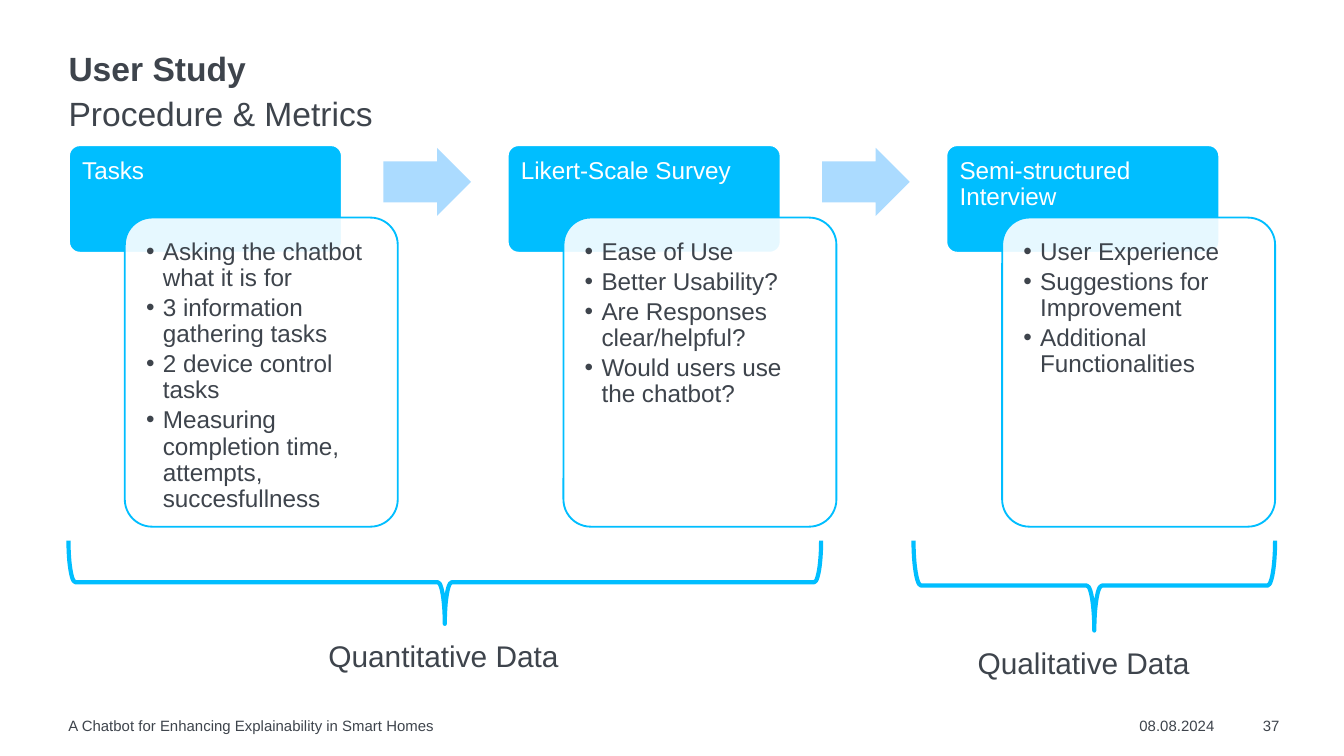
from lxml.etree import SubElement
from pptx import Presentation
from pptx.dml.color import RGBColor
from pptx.enum.shapes import MSO_SHAPE as Preset
from pptx.enum.text import MSO_ANCHOR as Anchor, MSO_AUTO_SIZE as AutoSize, PP_ALIGN as Align
from pptx.oxml.ns import qn
from pptx.util import Pt

COLORS = {"text": "3E444C", "accent": "00BEFF", "arrow": "ABDBFF", "white": "FFFFFF"}
FONT = "Arial"
LEFT = 36.7
STEP_PITCH = 235
STEP_TOP = 77.8
CARD_TOP = 116.6
CARD_INSET = 4.3
STEPS = [
    ("Tasks", [
        "Asking the chatbot what it is for",
        "3 information gathering tasks",
        "2 device control tasks",
        "Measuring completion time, attempts, succesfullness",
    ]),
    ("Likert-Scale Survey", [
        "Ease of Use",
        "Better Usability?",
        "Are Responses clear/helpful?",
        "Would users use the chatbot?",
    ]),
    ("Semi-structured Interview", [
        "User Experience",
        "Suggestions for Improvement",
        "Additional Functionalities",
    ]),
]


class SlideBuilder:
    def __init__(self, slide):
        self.slide = slide

    def color(self, name):
        return RGBColor.from_string(COLORS[name])

    def text(self, lines, left, top, width, height, size, color="text", bold=False,
             align=Align.LEFT, spacing=1.0, after=0, insets=(0, 0, 0, 0),
             bullets=False, wrap=True, grow=False):
        box = self.slide.shapes.add_textbox(Pt(left), Pt(top), Pt(width), Pt(height))
        frame = box.text_frame
        frame.text = "\n".join(lines)
        frame.word_wrap = wrap
        frame.auto_size = AutoSize.SHAPE_TO_FIT_TEXT if grow else AutoSize.NONE
        frame.vertical_anchor = Anchor.TOP
        frame.margin_left, frame.margin_top, frame.margin_right, frame.margin_bottom = map(Pt, insets)
        for paragraph in frame.paragraphs:
            paragraph.alignment = align
            paragraph.line_spacing = spacing
            paragraph.space_after = Pt(after)
            if bullets:
                self.bullet(paragraph)
            for run in paragraph.runs:
                run.font.name = FONT
                run.font.size = Pt(size)
                run.font.bold = bold
                run.font.color.rgb = self.color(color)

    def bullet(self, paragraph):
        properties = paragraph._p.get_or_add_pPr()
        properties.set("marL", str(Pt(9)))
        properties.set("indent", str(Pt(-9)))
        SubElement(properties, qn("a:buFont")).set("typeface", FONT)
        SubElement(properties, qn("a:buChar")).set("char", "•")

    def shape(self, preset, left, top, width, height, fill=None, line=None,
              line_width=1, adjustments=(), opacity=None):
        shape = self.slide.shapes.add_shape(preset, Pt(left), Pt(top), Pt(width), Pt(height))
        shape.shadow.inherit = False
        for index, value in enumerate(adjustments):
            shape.adjustments[index] = value
        if fill:
            shape.fill.solid()
            shape.fill.fore_color.rgb = self.color(fill)
        else:
            shape.fill.background()
        if opacity:
            color_element = shape._element.spPr.find(qn("a:solidFill"))[0]
            SubElement(color_element, qn("a:alpha")).set("val", str(opacity * 1000))
        if line:
            shape.line.color.rgb = self.color(line)
            shape.line.width = Pt(line_width)
        else:
            shape.line.fill.background()
        return shape

    def step(self, left, heading, items):
        self.shape(Preset.ROUNDED_RECTANGLE, left, STEP_TOP, 146.2, 57.6,
                   "accent", "white", adjustments=[0.1])
        self.text([heading], left, STEP_TOP, 146.2, 38.9, 13, "white",
                  spacing=0.9, after=4.5, insets=(7.2, 7.2, 7.2, 3.6))
        card_left = left + 29.9
        self.shape(Preset.ROUNDED_RECTANGLE, card_left, CARD_TOP, 146.2, 165.6,
                   "white", "accent", adjustments=[0.1], opacity=90)
        self.text(items, card_left + CARD_INSET, CARD_TOP + CARD_INSET,
                  146.2 - 2 * CARD_INSET, 165.6 - 2 * CARD_INSET, 13,
                  spacing=0.9, after=2, insets=(7.2,) * 4, bullets=True)

    def arrow(self, left):
        self.shape(Preset.RIGHT_ARROW, left, 79.2, 47, 36.5, "arrow", adjustments=[0.6, 0.5])

    def brace(self, left, top, width, height):
        shape = self.shape(Preset.LEFT_BRACE, left + (width - height) / 2,
                           top + (height - width) / 2, height, width,
                           line="accent", line_width=2.25)
        shape.rotation = 270

    def label(self, text, left, top, width):
        self.text([text], left, top, width, 20.9, 16, spacing=1.2, wrap=False, grow=True)

    def footer(self, text, left, width, align=Align.LEFT):
        self.text([text], left, 383.8, width, 9.4, 8, align=align, grow=True)


def main():
    presentation = Presentation()
    presentation.slide_width = Pt(720)
    presentation.slide_height = Pt(405)
    builder = SlideBuilder(presentation.slides.add_slide(presentation.slide_layouts[6]))

    builder.footer("37", 668.2, 17.3, Align.RIGHT)
    builder.footer("08.08.2024", 610.4, 41.8)
    builder.footer("A Chatbot for Enhancing Explainability in Smart Homes", LEFT, 477.4)
    builder.text(["User Study"], LEFT, 28.1, 649.4, 33.8, 18, bold=True, spacing=0.9)
    builder.text(["Procedure & Metrics"], LEFT, 45.4, 649.4, 21.6, 18, spacing=1.2)

    for index, (heading, items) in enumerate(STEPS):
        left = LEFT + 0.3 + index * STEP_PITCH
        builder.step(left, heading, items)
        if index < len(STEPS) - 1:
            builder.arrow(left + 168.4)

    builder.brace(LEFT, 289.6, 403.2, 44.6)
    builder.brace(489.4, 289.6, 193.7, 48.2)
    builder.label("Quantitative Data", 176, 337.7, 124.6)
    builder.label("Qualitative Data", 523.8, 341.6, 115.2)

    presentation.save("out.pptx")


if __name__ == "__main__":
    main()
